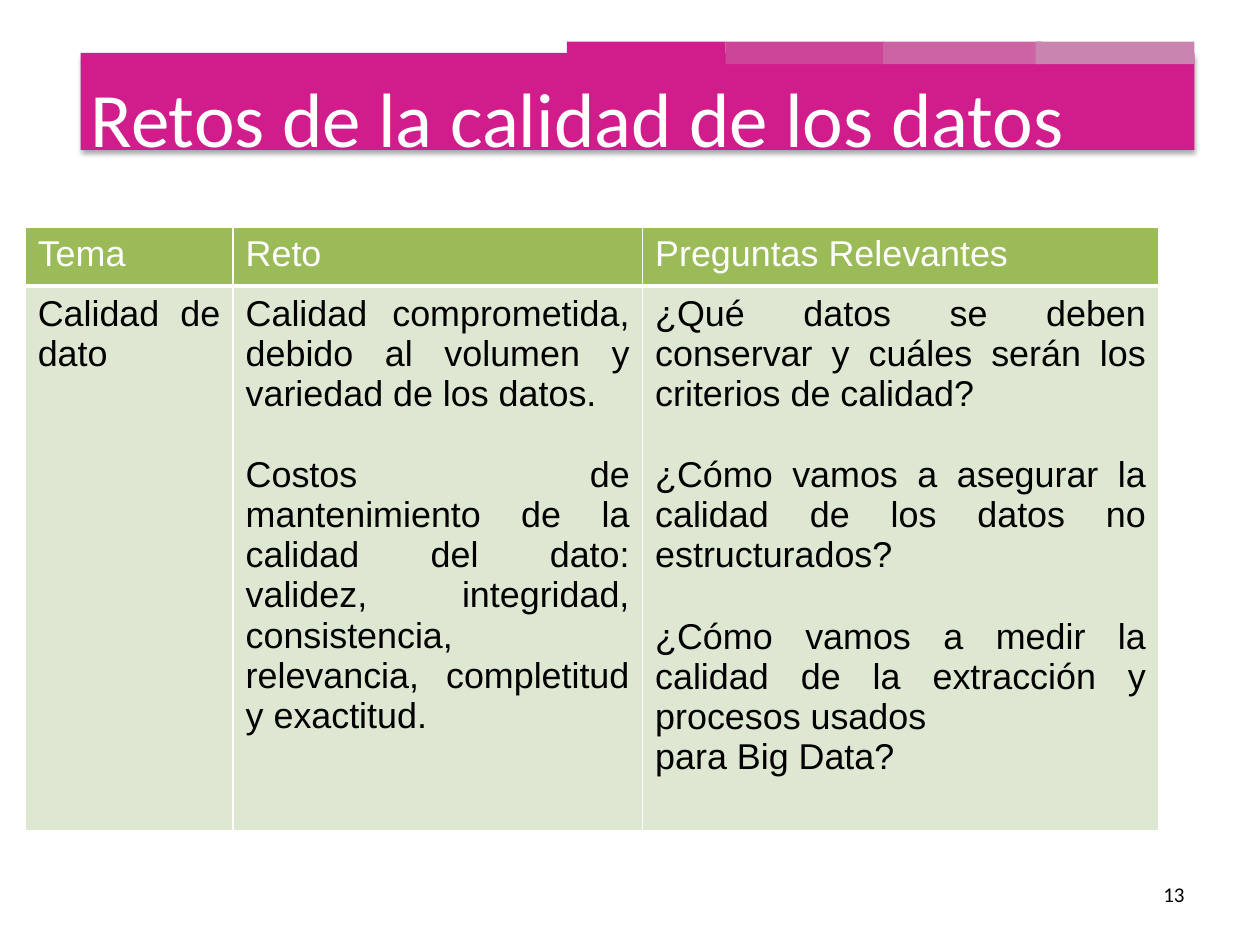
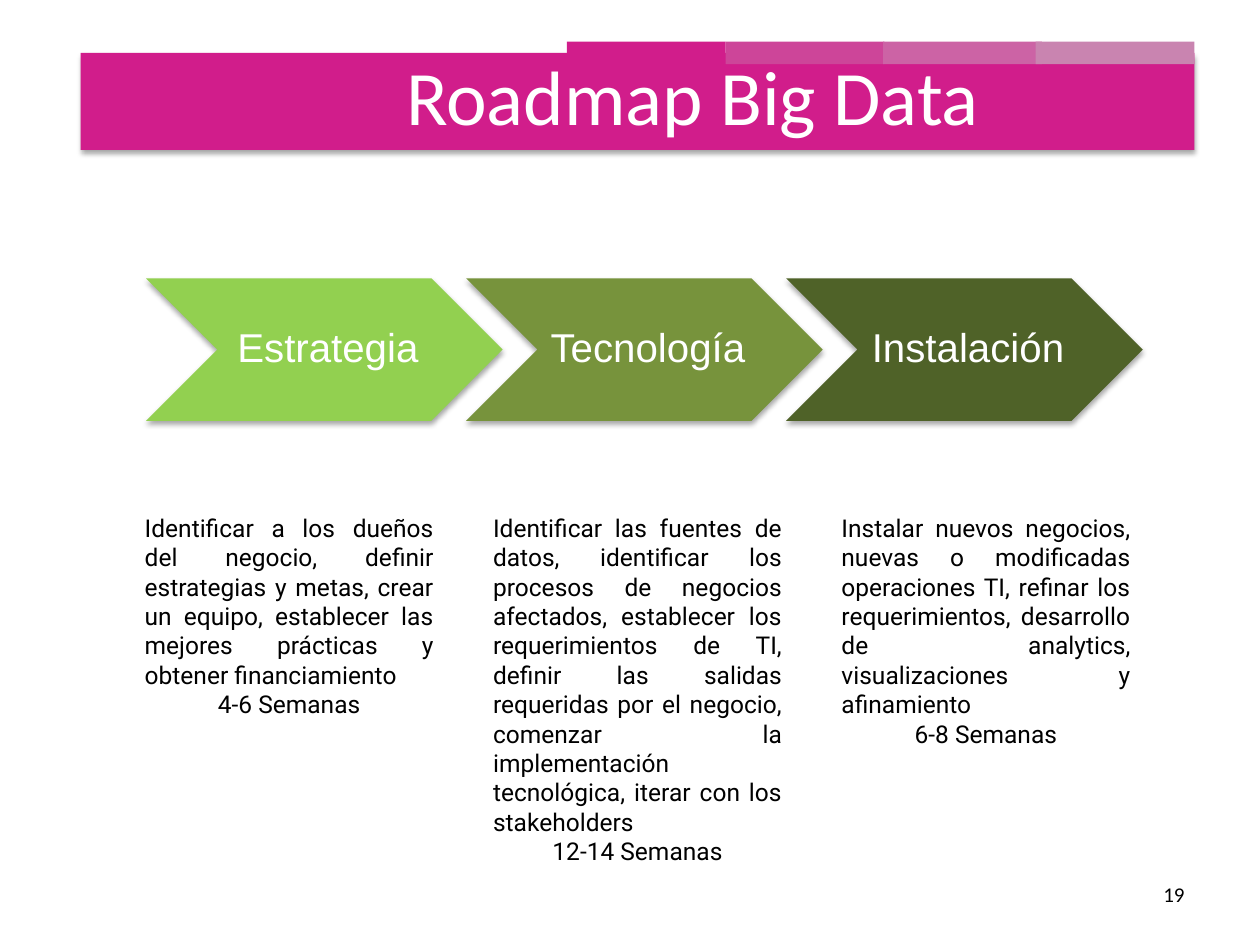
from lxml.etree import SubElement
from pptx import Presentation
from pptx.dml.color import RGBColor
from pptx.enum.shapes import MSO_SHAPE as Shape
from pptx.enum.text import MSO_ANCHOR as Anchor, PP_ALIGN as Align
from pptx.oxml.ns import qn
from pptx.util import Inches, Pt

COLORS = {
    "magenta": "D11D8B", "rose": "CD4599", "orchid": "CC63A5", "mauve": "C984B0",
    "white": "FFFFFF", "black": "000000",
    "header": "9BBB59", "body": "DEE7D1",
    "lime": "92D050", "olive": "77933C", "forest": "4F6228",
}
BAND_TABS = [(4.5, "magenta"), (5.76, "rose"), (7.01, "orchid"), (8.22, "mauve")]
COLUMN_WIDTHS = [1.65, 3.25, 4.1]
ROW_HEIGHTS = [0.47, 4.32]
TABLE_SIZE = 20.5
BLANK_LINE = 23.5
CHALLENGES = [
    [["Tema"], ["Reto"], ["Preguntas Relevantes"]],
    [
        ["Calidad de dato"],
        ["Calidad comprometida, debido al volumen y variedad de los datos.",
         "Costos de mantenimiento de la calidad del dato: validez, integridad, "
         "consistencia, relevancia, completitud y exactitud."],
        ["¿Qué datos se deben conservar y cuáles serán los criterios de calidad?",
         "¿Cómo vamos a asegurar la calidad de los datos no estructurados?",
         "¿Cómo vamos a medir la calidad de la extracción y procesos usados",
         "para Big Data?"],
    ],
]
STAGES = [
    ("Estrategia", "lime", 1.75, "4-6 Semanas",
     "Identificar a los dueños del negocio, definir estrategias y metas, crear un "
     "equipo, establecer las mejores prácticas y obtener financiamiento"),
    ("Tecnología", "olive", 2.93, "12-14 Semanas",
     "Identificar las fuentes de datos, identificar los procesos de negocios "
     "afectados, establecer los requerimientos de TI, definir las salidas requeridas "
     "por el negocio, comenzar la implementación tecnológica, iterar con los "
     "stakeholders"),
    ("Instalación", "forest", 1.99, "6-8 Semanas",
     "Instalar nuevos negocios, nuevas o modificadas operaciones TI, refinar los "
     "requerimientos, desarrollo de analytics, visualizaciones y afinamiento"),
]


def color(name):
    """Return the named colour."""
    return RGBColor.from_string(COLORS[name])


def add_shadow(shape):
    """Give a shape a soft shadow straight below it."""
    effects = shape._element.spPr.find(qn("a:effectLst"))
    outer = SubElement(effects, qn("a:outerShdw"), blurRad=str(Pt(3.1)),
                       dist=str(Pt(1.8)), dir="5400000", rotWithShape="0")
    tint = SubElement(outer, qn("a:srgbClr"), val=COLORS["black"])
    SubElement(tint, qn("a:alpha"), val="35000")


def add_block(page, kind, left, top, width, height, fill, shadow=False):
    """Add a filled preset shape without an outline."""
    block = page.shapes.add_shape(kind, *map(Inches, (left, top, width, height)))
    block.shadow.inherit = False
    block.fill.solid()
    block.fill.fore_color.rgb = color(fill)
    block.line.fill.background()
    if shadow:
        add_shadow(block)


def write(para, text, size, font, tone, align):
    """Put one run of styled text in a paragraph."""
    para.alignment = align
    span = para.add_run()
    span.text = text
    span.font.size = Pt(size)
    span.font.name = font
    span.font.color.rgb = color(tone)


def add_text(page, left, top, width, height, lines, size, font,
             tone="black", anchor=Anchor.TOP):
    """Add a wrapping text box from (text, alignment) lines and return its frame."""
    box = page.shapes.add_textbox(*map(Inches, (left, top, width, height)))
    frame = box.text_frame
    frame.word_wrap = True
    frame.vertical_anchor = anchor
    for index, (text, align) in enumerate(lines):
        para = frame.add_paragraph() if index else frame.paragraphs[0]
        write(para, text, size, font, tone, align)
    return frame


def add_page(deck, title, left, top, width, number):
    """Add a page with the title band, its tabs, the title and the page number."""
    page = deck.slides.add_slide(deck.slide_layouts[6])
    add_block(page, Shape.RECTANGLE, 0.64, 0.42, 8.84, 0.77, "magenta", shadow=True)
    for tab_left, fill in BAND_TABS:
        add_block(page, Shape.RECTANGLE, tab_left, 0.33, 1.26, 0.18, fill)
    add_text(page, left, top, width, 1.25, [(title, Align.CENTER)], 44, "Calibri",
             "white", Anchor.MIDDLE)
    add_text(page, 7.17, 6.95, 2.33, 0.4, [(number, Align.RIGHT)], 12, "Calibri")
    return page


def add_borders(cell, bottom):
    """Draw white borders around a cell, with its own bottom width."""
    properties = cell._tc.get_or_add_tcPr()
    widths = {"a:lnL": 1, "a:lnR": 1, "a:lnT": 1, "a:lnB": bottom}
    for index, (side, width) in enumerate(widths.items()):
        line = properties.makeelement(qn(side), {"w": str(Pt(width))})
        fill = SubElement(line, qn("a:solidFill"))
        SubElement(fill, qn("a:srgbClr"), val=COLORS["white"])
        properties.insert(index, line)


def fill_cell(cell, texts, header):
    """Style a table cell and write its paragraphs."""
    cell.fill.solid()
    cell.fill.fore_color.rgb = color("header" if header else "body")
    cell.margin_left = cell.margin_right = Inches(0.1)
    cell.margin_top = cell.margin_bottom = Inches(0.06)
    add_borders(cell, 3 if header else 1)
    tone, align = ("white", Align.LEFT) if header else ("black", Align.JUSTIFY)
    frame = cell.text_frame
    for index, text in enumerate(texts):
        para = frame.add_paragraph() if index else frame.paragraphs[0]
        if index and not text.startswith("para "):
            para.space_before = Pt(BLANK_LINE)
        write(para, text, TABLE_SIZE, "Arial", tone, align)


def add_challenges(page):
    """Add the table of data quality challenges."""
    table = page.shapes.add_table(
        len(ROW_HEIGHTS), len(COLUMN_WIDTHS), Inches(0.2), Inches(1.8),
        Inches(sum(COLUMN_WIDTHS)), Inches(sum(ROW_HEIGHTS))).table
    for column, width in zip(table.columns, COLUMN_WIDTHS):
        column.width = Inches(width)
    for index, (row, height) in enumerate(zip(table.rows, ROW_HEIGHTS)):
        row.height = Inches(height)
        for cell, texts in zip(row.cells, CHALLENGES[index]):
            fill_cell(cell, texts, header=index == 0)


def add_stage(page, index, name, fill, height, duration, tasks):
    """Add one roadmap chevron with its tasks and duration below."""
    left = 1.16 + 2.54 * index
    add_block(page, Shape.CHEVRON, left, 2.21, 2.83, 1.13, fill, shadow=True)
    label = add_text(page, left + 0.56, 2.21, 1.7, 1.13, [(name, Align.CENTER)],
                     23, "Arial", "white", Anchor.MIDDLE)
    label.margin_right = label.margin_top = label.margin_bottom = Inches(0.03)
    label.paragraphs[0].line_spacing = 0.9
    add_text(page, 1.05 + 2.765 * index, 4.02, 2.49, height,
             [(tasks, Align.JUSTIFY), (duration, Align.CENTER)], 14, "Roboto")


def main():
    """Build and save the deck."""
    deck = Presentation()
    deck.slide_width, deck.slide_height = Inches(10), Inches(7.5)
    challenges = add_page(deck, "Retos de la calidad de los datos", 0.42, 0.3, 8.33, "13")
    add_challenges(challenges)
    roadmap = add_page(deck, "Roadmap Big Data", 1, 0.13, 9, "19")
    for index, stage in enumerate(STAGES):
        add_stage(roadmap, index, *stage)
    deck.save("out.pptx")


if __name__ == "__main__":
    main()
